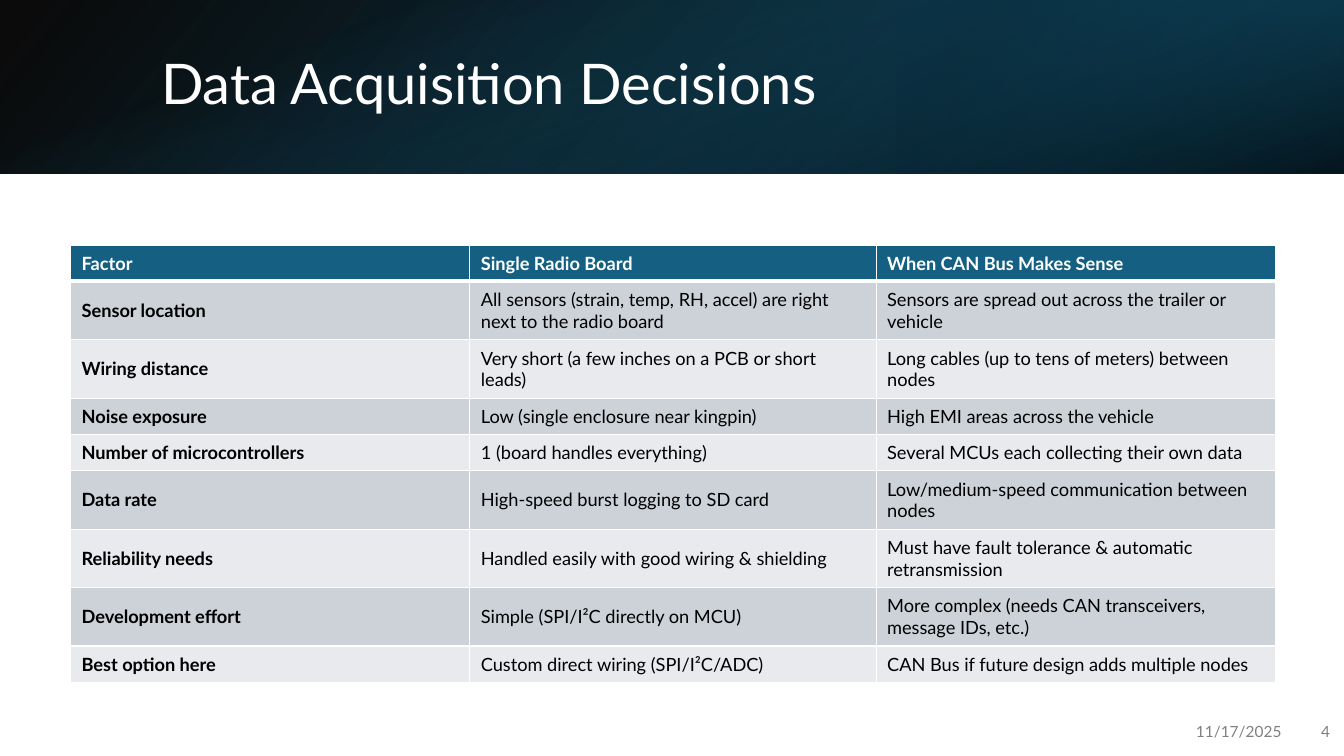
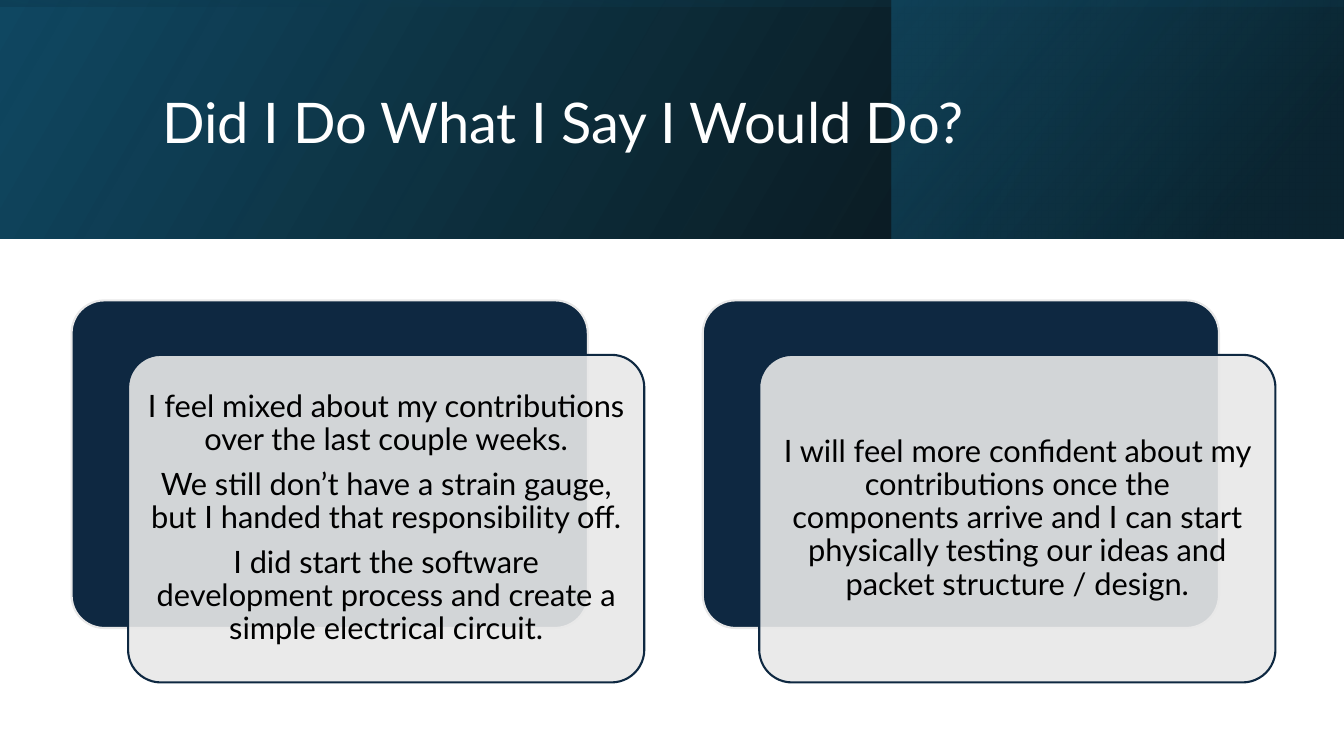
import lxml.etree
import pptx
import pptx.dml.color
import pptx.enum.shapes
import pptx.enum.text
import pptx.oxml.ns
import pptx.util

Inches, Pt = pptx.util.Inches, pptx.util.Pt
RGB = pptx.dml.color.RGBColor.from_string
qn = pptx.oxml.ns.qn
SHAPE = pptx.enum.shapes.MSO_SHAPE
ALIGN = pptx.enum.text.PP_ALIGN
MIDDLE = pptx.enum.text.MSO_ANCHOR.MIDDLE

FONT = "Lato"
COLORS = {
    "white": "FFFFFF", "black": "000000", "gray": "808080",
    "teal": "156082", "deep teal": "104862", "dark teal": "0B3041",
    "navy": "0E2841", "card": "E8E8E8",
    "odd row": "CCD2D8", "even row": "E8EAED",
}
SLIDE_WIDTH = 13.33


def write_text(frame, *paragraphs, size, color="black", bold=False,
               align=ALIGN.LEFT, line_spacing=None, space_after=0):
    frame.word_wrap = True
    frame.vertical_anchor = MIDDLE
    for index, text in enumerate(paragraphs):
        para = frame.add_paragraph() if index else frame.paragraphs[0]
        para.alignment = align
        para.line_spacing = line_spacing
        para.space_after = Pt(space_after)
        span = para.add_run()
        span.text = text
        span.font.name = FONT
        span.font.size = Pt(size)
        span.font.bold = bold
        span.font.color.rgb = RGB(COLORS[color])


def add_band(slide, box, stops, angle, rotation=0, flip=False):
    """Add a gradient rectangle; stops are (position, colour, opacity), all in percent."""
    band = slide.shapes.add_shape(SHAPE.RECTANGLE, *map(Inches, box))
    band.shadow.inherit = False
    band.line.fill.background()
    band.rotation = rotation
    properties = band._element.spPr
    if flip:
        properties.find(qn("a:xfrm")).set("flipH", "1")
    band.fill.gradient()
    band.fill.gradient_angle = 360 - angle
    for stop, (position, color, opacity) in zip(band.fill.gradient_stops, stops):
        stop.position = position / 100
        stop.color.rgb = RGB(COLORS[color])
    for node, (position, color, opacity) in zip(properties.iter(qn("a:srgbClr")), stops):
        lxml.etree.SubElement(node, qn("a:alpha")).set("val", str(opacity * 1000))


deck = pptx.Presentation()
deck.slide_width, deck.slide_height = Inches(SLIDE_WIDTH), Inches(7.5)

# Each slide: title, title box, header height, accent and overlay settings
headers = [
    {"title": "Data Acquisition Decisions", "box": (1.5, 0.38, 10.98, 0.96),
     "height": 1.72, "base angle": 140,
     "accent": (8.89, 4.44), "accent opacity": 79, "accent rotation": 180,
     "overlay": [(23, "teal", 0), (99, "black", 74)],
     "overlay angle": 340, "overlay rotation": 90, "overlay flip": False},
    {"title": "Did I Do What I Say I Would Do?", "box": (1.51, 0.38, 10.63, 1.72),
     "height": 2.37, "base angle": 330,
     "accent": (8.84, 4.48), "accent opacity": 48, "accent rotation": 0,
     "overlay": [(23, "deep teal", 16), (99, "black", 45)],
     "overlay angle": 350, "overlay rotation": 270, "overlay flip": True},
]
slides = []
for header in headers:
    slide = deck.slides.add_slide(deck.slide_layouts[6])
    slides.append(slide)
    height = header["height"]
    add_band(slide, (0, 0, SLIDE_WIDTH, height),
             [(0, "black", 96), (100, "deep teal", 100)], header["base angle"], flip=True)
    accent_left, accent_width = header["accent"]
    add_band(slide, (accent_left, 0, accent_width, height),
             [(19, "dark teal", 68), (100, "teal", header["accent opacity"])],
             320, rotation=header["accent rotation"], flip=True)
    # The overlay stands upright and is turned to cover the whole header
    offset = (SLIDE_WIDTH - height) / 2
    add_band(slide, (offset, -offset, height, SLIDE_WIDTH), header["overlay"],
             header["overlay angle"], header["overlay rotation"], header["overlay flip"])
    title = slide.shapes.add_textbox(*map(Inches, header["box"]))
    write_text(title.text_frame, header["title"], size=40, color="white", line_spacing=0.9)

decisions_slide, reflection_slide = slides

# Decisions: footer and table
for left, width, text in [(9.81, 3, "11/17/2025"), (12.8, 0.49, "4")]:
    footer = decisions_slide.shapes.add_textbox(
        Inches(left), Inches(7.06), Inches(width), Inches(0.4))
    write_text(footer.text_frame, text, size=11, color="gray", align=ALIGN.RIGHT, space_after=6)

rows = [
    ("Factor", "Single Radio Board", "When CAN Bus Makes Sense"),
    ("Sensor location",
     "All sensors (strain, temp, RH, accel) are right next to the radio board",
     "Sensors are spread out across the trailer or vehicle"),
    ("Wiring distance", "Very short (a few inches on a PCB or short leads)",
     "Long cables (up to tens of meters) between nodes"),
    ("Noise exposure", "Low (single enclosure near kingpin)",
     "High EMI areas across the vehicle"),
    ("Number of microcontrollers", "1 (board handles everything)",
     "Several MCUs each collecting their own data"),
    ("Data rate", "High-speed burst logging to SD card",
     "Low/medium-speed communication between nodes"),
    ("Reliability needs", "Handled easily with good wiring & shielding",
     "Must have fault tolerance & automatic retransmission"),
    ("Development effort", "Simple (SPI/I²C directly on MCU)",
     "More complex (needs CAN transceivers, message IDs, etc.)"),
    ("Best option here", "Custom direct wiring (SPI/I²C/ADC)",
     "CAN Bus if future design adds multiple nodes"),
]
one_line_rows = (0, 3, 4, 8)
table = decisions_slide.shapes.add_table(
    len(rows), 3, Inches(0.7), Inches(2.43), Inches(11.95), Inches(4.34)).table
for column, width in zip(table.columns, (3.96, 4.03, 3.96)):
    column.width = Inches(width)
for row_index, texts in enumerate(rows):
    table.rows[row_index].height = Inches(0.36 if row_index in one_line_rows else 0.58)
    is_header = row_index == 0
    fill = "teal" if is_header else "odd row" if row_index % 2 else "even row"
    for column_index, text in enumerate(texts):
        cell = table.cell(row_index, column_index)
        cell.margin_left = cell.margin_right = Inches(0.11)
        cell.margin_top = cell.margin_bottom = Inches(0.05)
        cell.vertical_anchor = MIDDLE
        write_text(cell.text_frame, text, size=13, color="white" if is_header else "black",
                   bold=is_header or column_index == 0)
        cell_properties = cell._tc.get_or_add_tcPr()
        for side in ("lnL", "lnR", "lnT", "lnB"):
            heavy = (is_header and side == "lnB") or (row_index == 1 and side == "lnT")
            border = lxml.etree.SubElement(cell_properties, qn(f"a:{side}"))
            border.set("w", str(Pt(3 if heavy else 1)))
            paint = lxml.etree.SubElement(border, qn("a:solidFill"))
            lxml.etree.SubElement(paint, qn("a:srgbClr")).set("val", COLORS["white"])
        cell.fill.solid()
        cell.fill.fore_color.rgb = RGB(COLORS[fill])

# Reflection: two cards, each in front of a navy panel
cards = [
    ("I feel mixed about my contributions over the last couple weeks.",
     "We still don’t have a strain gauge, but I handed that responsibility off.",
     "I did start the software development process and create a simple electrical circuit."),
    ("I will feel more confident about my contributions once the components arrive "
     "and I can start physically testing our ideas and packet structure / design.",),
]
for index, paragraphs in enumerate(cards):
    left = 0.71 + index * 6.26
    for shift_x, shift_y, fill, line in [(0, 0, "navy", "card"), (0.56, 0.54, "card", "navy")]:
        card = reflection_slide.shapes.add_shape(
            SHAPE.ROUNDED_RECTANGLE, Inches(left + shift_x), Inches(2.98 + shift_y),
            Inches(5.12), Inches(3.25))
        card.adjustments[0] = 0.1
        card.shadow.inherit = False
        card.fill.solid()
        card.fill.fore_color.rgb = RGB(COLORS[fill])
        card.line.color.rgb = RGB(COLORS[line])
        card.line.width = Pt(1.5)
    # The front card is slightly see-through and carries the text
    fill_color = card._element.spPr.find(qn("a:solidFill")).find(qn("a:srgbClr"))
    lxml.etree.SubElement(fill_color, qn("a:alpha")).set("val", "90000")
    frame = card.text_frame
    frame.margin_left = frame.margin_right = Inches(0.09)
    frame.margin_top = frame.margin_bottom = Inches(0.09)
    write_text(frame, *paragraphs, size=22, align=ALIGN.CENTER, line_spacing=0.9, space_after=8)

deck.save("out.pptx")
